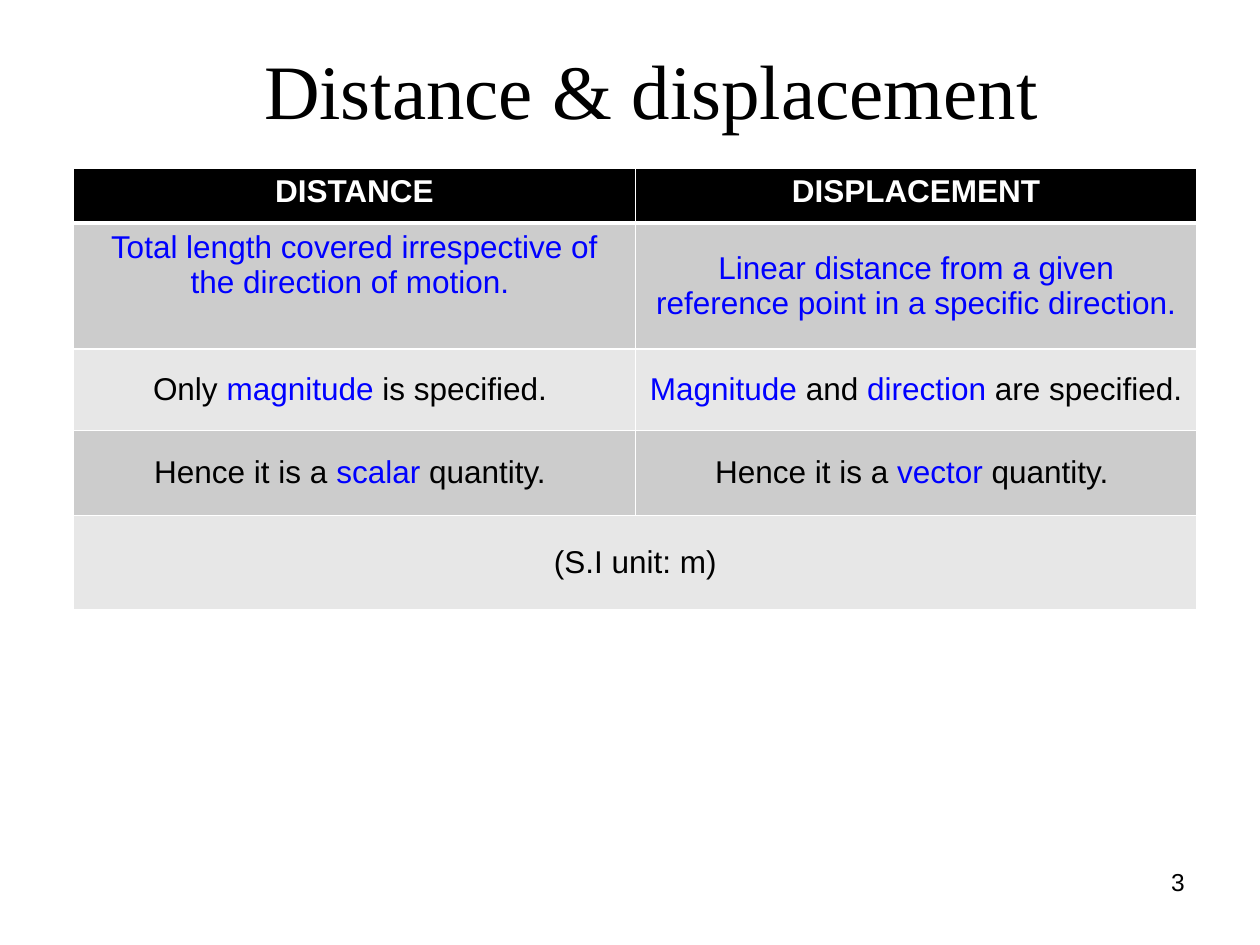
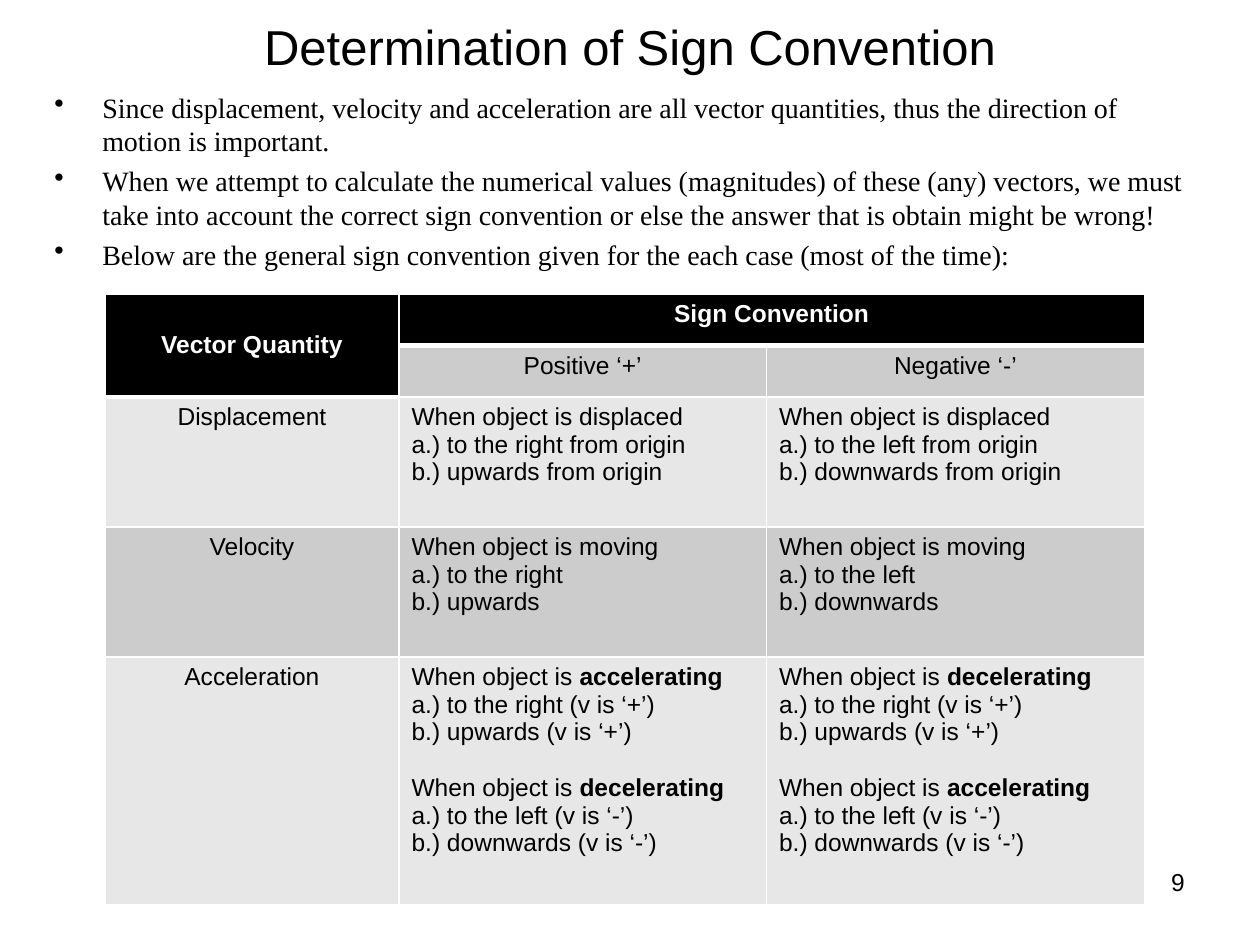
from lxml import etree
from pptx import Presentation
from pptx.dml.color import RGBColor
from pptx.enum.text import MSO_ANCHOR as Anchor, PP_ALIGN as Align
from pptx.oxml.ns import qn
from pptx.util import Inches, Pt

# Grid: 120 columns by 90 rows, twelve to the inch
COLUMNS, ROWS, UNIT = 120, 90, Inches(1) / 12

BLACK, WHITE, BLUE = "000000", "FFFFFF", "0000FF"
BANDS = ("CCCCCC", "E7E7E7")
SANS, SERIF = "Arial", "Times New Roman"
PAGE_NUMBER_BOX = (86, 82, 28, 6.2)

DISTANCE_ROWS = [
    ["DISTANCE", "DISPLACEMENT"],
    ["*Total length covered irrespective of the direction of motion. *",
     "*Linear distance from a given reference point in a specific direction.*"],
    ["Only* magnitude *is specified. ",
     "*Magnitude* and *direction* are specified. "],
    ["Hence it is a *scalar* quantity. ", "Hence it is a *vector* quantity. "],
    ["(S.I unit: m)", ""],
]

SIGN_POINTS = [
    "Since displacement, velocity and acceleration are all vector quantities, "
    "thus the direction of motion is important.",
    "When we attempt to calculate the numerical values (magnitudes) of these (any) "
    "vectors, we must take into account the correct sign convention or else the "
    "answer that is obtain might be wrong!",
    "Below are the general sign convention given for the each case (most of the time):",
]


def acceleration_cases(rightward, leftward):
    """Two blocks, one for each direction of the velocity."""
    return (f"When object is *{rightward}*\na.) to the right (v is ‘+’)\nb.) upwards (v is ‘+’)\n\n"
            f"When object is *{leftward}*\na.) to the left (v is ‘-’)\nb.) downwards (v is ‘-’)")


SIGN_ROWS = [
    ["Vector Quantity", "Sign Convention", ""],
    ["", "Positive ‘+’", "Negative ‘-’"],
    ["Displacement",
     "When object is displaced\na.) to the right from origin\nb.) upwards from origin",
     "When object is displaced\na.) to the left from origin\nb.) downwards from origin"],
    ["Velocity",
     "When object is moving\na.) to the right\nb.) upwards",
     "When object is moving\na.) to the left\nb.) downwards"],
    ["Acceleration",
     acceleration_cases("accelerating", "decelerating"),
     acceleration_cases("decelerating", "accelerating")],
]


def color(hex_string):
    return RGBColor.from_string(hex_string)


def grid(*lengths):
    return [round(length * UNIT) for length in lengths]


def style_font(font, size, name=SANS, fill=BLACK, bold=False):
    font.size, font.name, font.bold = Pt(size), name, bold
    font.color.rgb = color(fill)


# Text boxes
def add_text(slide, box, lines, size, name=SANS, align=Align.LEFT):
    shape = slide.shapes.add_textbox(*grid(*box))
    frame = shape.text_frame
    frame.word_wrap = True
    frame.text = "\n".join(lines)
    for paragraph in frame.paragraphs:
        paragraph.alignment = align
        style_font(paragraph.runs[0].font, size, name)
    return frame


def add_page_number(slide, number):
    add_text(slide, PAGE_NUMBER_BOX, [str(number)], 14, align=Align.RIGHT)


def add_bullets(slide, box, lines, size):
    frame = add_text(slide, box, lines, size, SERIF)
    for paragraph in frame.paragraphs:
        paragraph.space_before = Pt(3.75)
        properties = paragraph._p.get_or_add_pPr()
        indent = Inches(0.38)
        properties.set("marL", str(indent))
        properties.set("indent", str(-indent))
        etree.SubElement(properties, qn("a:buChar")).set("char", "•")


# Tables
def set_borders(cell, bottom):
    properties = cell._tc.get_or_add_tcPr()
    for side, width in zip("LRTB", (1, 1, 1, bottom)):
        line = etree.SubElement(properties, qn(f"a:ln{side}"), w=str(Pt(width)))
        fill = etree.SubElement(line, qn("a:solidFill"))
        etree.SubElement(fill, qn("a:srgbClr"), val=WHITE)


def write_cell(cell, text, size, header, emphasis):
    """Write lines; *stars* mark emphasis and an empty line starts a new block."""
    frame = cell.text_frame
    paragraph = None
    for block_index, block in enumerate(text.split("\n\n")):
        for line_index, line in enumerate(block.split("\n")):
            paragraph = frame.add_paragraph() if paragraph else frame.paragraphs[0]
            paragraph.alignment = Align.LEFT if "\n" in block else Align.CENTER
            if block_index and not line_index:
                paragraph.space_before = Pt(size * 1.15)
            for part_index, part in enumerate(line.split("*")):
                if not part:
                    continue
                run = paragraph.add_run()
                run.text = part
                look = {"fill": WHITE, "bold": True} if header else {}
                style_font(run.font, size, **(emphasis if part_index % 2 else look))


def add_grid_table(slide, origin, widths, heights, rows, size, emphasis,
                   merges, tall_headers=()):
    box = (*origin, sum(widths), sum(heights))
    table = slide.shapes.add_table(len(heights), len(widths), *grid(*box)).table
    table.first_row = table.horz_banding = False
    for column, width in zip(table.columns, grid(*widths)):
        column.width = width
    for row, height in zip(table.rows, grid(*heights)):
        row.height = height
    for row_index, texts in enumerate(rows):
        for column_index, text in enumerate(texts):
            cell = table.cell(row_index, column_index)
            header = row_index == 0 or (row_index, column_index) in tall_headers
            set_borders(cell, 3 if header else 1)
            cell.fill.solid()
            cell.fill.fore_color.rgb = color(BLACK if header else BANDS[(row_index - 1) % 2])
            write_cell(cell, text, size, header, emphasis)
    for first, last in merges:
        table.cell(*first).merge(table.cell(*last))
    return table


# Slides
def add_distance_slide(slide):
    title = add_text(slide, (6, 3.6, 108, 7.5), ["Distance & displacement"],
                     44, SERIF, Align.CENTER)
    title.margin_left, title.margin_top, title.margin_right = Inches(0.34), Inches(0.04), 0
    table = add_grid_table(slide, (7, 16), (53.5, 53.5), (5.25, 12, 7.75, 8.1, 9),
                           DISTANCE_ROWS, 18, {"fill": BLUE}, [((4, 0), (4, 1))])
    for row_index in range(1, len(DISTANCE_ROWS)):
        for column_index in range(2):
            table.cell(row_index, column_index).vertical_anchor = Anchor.MIDDLE
    table.cell(1, 0).vertical_anchor = Anchor.TOP
    add_page_number(slide, 3)


def add_sign_slide(slide):
    add_text(slide, (6, 1, 108, 10), ["Determination of Sign Convention"],
             28, align=Align.CENTER)
    add_bullets(slide, (4, 8, 111, 79), SIGN_POINTS, 16)
    add_page_number(slide, 9)
    table = add_grid_table(slide, (10, 28), (28, 35, 36), (4.9, 4.9, 12.4, 12.4, 23.6),
                           SIGN_ROWS, 14, {"bold": True},
                           [((0, 0), (1, 0)), ((0, 1), (0, 2))], tall_headers={(1, 0)})
    table.cell(0, 0).vertical_anchor = Anchor.MIDDLE


def main():
    presentation = Presentation()
    presentation.slide_width, presentation.slide_height = grid(COLUMNS, ROWS)
    blank = presentation.slide_layouts[6]
    for build in (add_distance_slide, add_sign_slide):
        build(presentation.slides.add_slide(blank))
    presentation.save("out.pptx")


if __name__ == "__main__":
    main()
